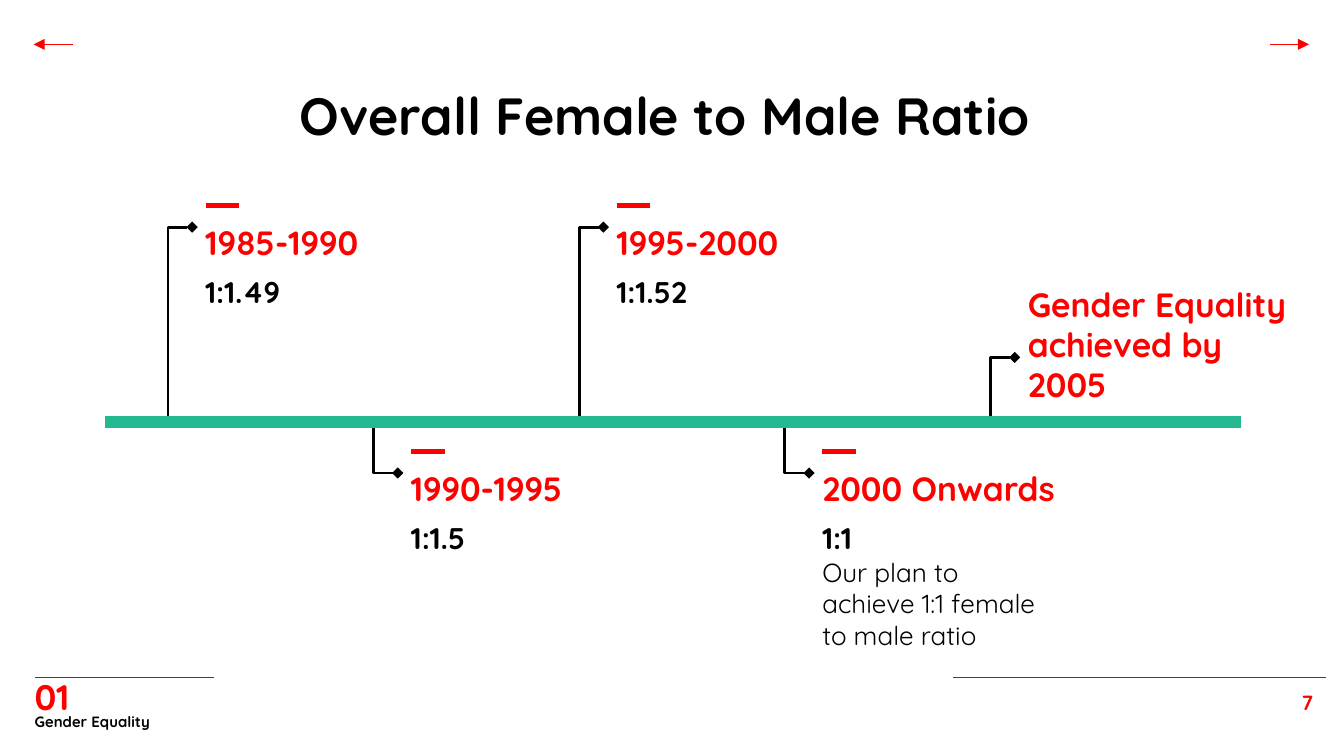
"""Builds a timeline slide of the female to male ratio."""
from dataclasses import dataclass

from lxml.etree import SubElement
from pptx import Presentation
from pptx.dml.color import RGBColor
from pptx.enum.shapes import MSO_CONNECTOR
from pptx.enum.text import MSO_ANCHOR, PP_ALIGN
from pptx.oxml.ns import qn
from pptx.util import Inches, Pt

RED, BLACK, GREEN, GRAY = "FD0000", "000000", "24B891", "434343"
TIMELINE_Y = 3.14
FIRST_LEFT, STEP = 1.43, 1.53
ABOVE, BELOW = 1.53, 3.36


@dataclass
class Period:
    column: int
    top: float
    heading: str
    ratio: str
    heading_width: float = 1.8


@dataclass
class Rule:
    start: tuple[float, float]
    end: tuple[float, float]
    color: str = RED
    width: float = 0.75
    head: str = ""
    tail: str = ""


@dataclass
class Label:
    text: str
    box: tuple[float, float, float, float]
    size: float
    color: str = BLACK
    bold: bool = True
    align: PP_ALIGN = PP_ALIGN.LEFT
    anchor: MSO_ANCHOR = MSO_ANCHOR.TOP
    inset: float = 0.1


PERIODS = [
    Period(0, ABOVE, "1985-1990", "1:1.49"),
    Period(1, BELOW, "1990-1995", "1:1.5"),
    Period(2, ABOVE, "1995-2000", "1:1.52"),
    Period(3, BELOW, "2000 Onwards", "1:1", 1.97),
]
TITLE = Label("Overall Female to Male Ratio ", (1.61, 0.52, 6.78, 0.63), 28,
              align=PP_ALIGN.CENTER)
LABELS = [
    Label("Our plan to achieve 1:1 female to male ratio", (6.02, 4.04, 1.8, 0.74), 14,
          bold=False),
    Label("Gender Equality achieved by 2005", (7.55, 2.21, 2.24, 0.9), 18, RED,
          anchor=MSO_ANCHOR.BOTTOM),
    Label("7", (9.23, 5.04, 0.64, 0.43), 11, RED, align=PP_ALIGN.RIGHT),
    Label("Gender Equality", (0.16, 5.24, 3.31, 0.25), 8, anchor=MSO_ANCHOR.MIDDLE, inset=0),
    Label("01", (0.16, 5.16, 1.85, 0.18), 19, RED, anchor=MSO_ANCHOR.BOTTOM, inset=0),
]
RULES = [
    Rule((0.78, TIMELINE_Y), (9.23, TIMELINE_Y), GREEN, 6),
    Rule((9.45, 0.33), (9.74, 0.33), tail="triangle"),
    Rule((0.54, 0.33), (0.25, 0.33), tail="triangle"),
    Rule((1.59, 5.04), (0.26, 5.04), GRAY),
    Rule((7.09, 5.04), (9.87, 5.04), GRAY),
]


def rgb(value: str) -> RGBColor:
    return RGBColor.from_string(value)


def fill_label(shape, label: Label) -> None:
    shape.left, shape.top, shape.width, shape.height = map(Inches, label.box)
    frame = shape.text_frame
    frame.text = label.text
    frame_format = {
        "word_wrap": True,
        "vertical_anchor": label.anchor,
        "margin_left": Inches(0.1),
        "margin_right": Inches(0.1),
        "margin_top": Inches(label.inset),
        "margin_bottom": Inches(label.inset),
    }
    for name, value in frame_format.items():
        setattr(frame, name, value)
    paragraph = frame.paragraphs[0]
    paragraph.alignment = label.align
    font = paragraph.runs[0].font
    font_format = {"name": "Quicksand", "size": Pt(label.size), "bold": label.bold}
    for name, value in font_format.items():
        setattr(font, name, value)
    font.color.rgb = rgb(label.color)


def add_label(slide, label: Label) -> None:
    fill_label(slide.shapes.add_textbox(*map(Inches, label.box)), label)


def add_rule(slide, rule: Rule, kind: MSO_CONNECTOR = MSO_CONNECTOR.STRAIGHT):
    connector = slide.shapes.add_connector(kind, *map(Inches, rule.start + rule.end))
    connector.line.color.rgb = rgb(rule.color)
    connector.line.width = Pt(rule.width)
    properties = connector._element.spPr
    outline = properties.find(qn("a:ln"))
    for tag, arrow in (("a:headEnd", rule.head), ("a:tailEnd", rule.tail)):
        if arrow:
            SubElement(outline, qn(tag), type=arrow)
    SubElement(properties, qn("a:effectLst"))
    return connector


def add_branch(slide, left: float, top: float) -> None:
    rule = Rule((left, top), (left - 0.18, TIMELINE_Y), BLACK, 1.5, head="diamond")
    connector = add_rule(slide, rule, MSO_CONNECTOR.ELBOW)
    connector._element.spPr.find(qn("a:prstGeom")).set("prst", "bentConnector2")


def add_period(slide, period: Period) -> None:
    left, top = FIRST_LEFT + STEP * period.column, period.top
    add_branch(slide, left, top + 0.16)
    add_rule(slide, Rule((left + 0.35, top), (left + 0.1, top), width=3))
    add_label(slide, Label(period.heading, (left, top + 0.02, period.heading_width, 0.27),
                           18, RED))
    add_label(slide, Label(period.ratio, (left, top + 0.41, 1.8, 0.34), 16))


def main() -> None:
    presentation = Presentation()
    presentation.slide_width = Inches(10)
    presentation.slide_height = Inches(10) * 9 // 16
    slide = presentation.slides.add_slide(presentation.slide_layouts[5])
    fill_label(slide.shapes.title, TITLE)
    for period in PERIODS:
        add_period(slide, period)
    add_branch(slide, FIRST_LEFT + STEP * 4, 2.66)
    for label in LABELS:
        add_label(slide, label)
    for rule in RULES:
        add_rule(slide, rule)
    presentation.save("out.pptx")


if __name__ == "__main__":
    main()
